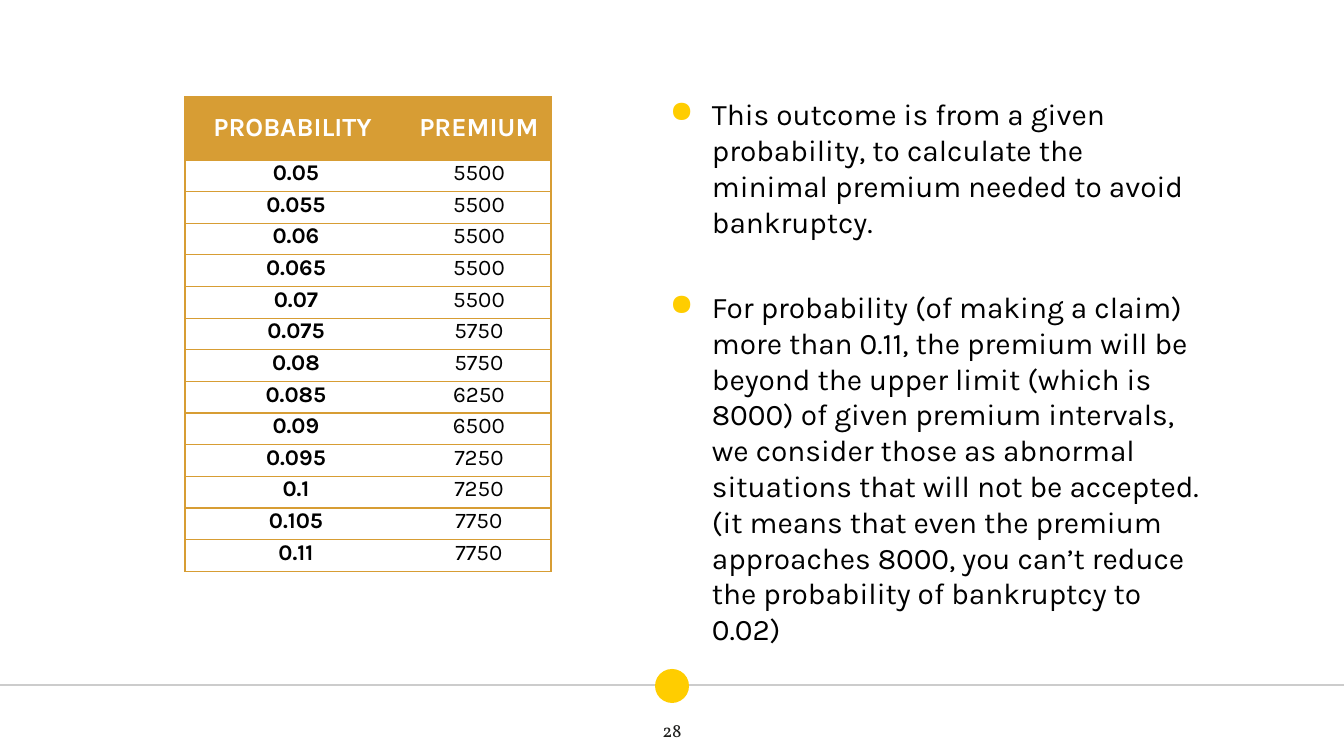
from dataclasses import dataclass

from lxml import etree
from pptx import Presentation
from pptx.dml.color import RGBColor
from pptx.enum.shapes import MSO_CONNECTOR, MSO_SHAPE
from pptx.enum.text import MSO_ANCHOR, PP_ALIGN
from pptx.oxml.ns import qn
from pptx.util import Emu, Pt

STRAIGHT = MSO_CONNECTOR.STRAIGHT
ELLIPSE = MSO_SHAPE.OVAL
CENTER = PP_ALIGN.CENTER
MIDDLE = MSO_ANCHOR.MIDDLE
TOP = MSO_ANCHOR.TOP

SLIDE_WIDTH, SLIDE_HEIGHT = 1344, 756
EMU_PER_PX = 914400 / 134.4
PLAIN_TABLE_STYLE = "{2D5ABB26-0587-4C30-8999-92F81FD0307C}"

HEADINGS = ("PROBABILITY ", "PREMIUM")
PREMIUMS = (
    ("0.05", 5500), ("0.055", 5500), ("0.06", 5500), ("0.065", 5500),
    ("0.07", 5500), ("0.075", 5750), ("0.08", 5750), ("0.085", 6250),
    ("0.09", 6500), ("0.095", 7250), ("0.1", 7250), ("0.105", 7750),
    ("0.11", 7750),
)
REMARKS = (
    "This outcome is from a given probability, to calculate the minimal "
    "premium needed to avoid bankruptcy.",
    "For probability (of making a claim) more than 0.11, the premium will be "
    "beyond the upper limit (which is 8000) of given premium intervals, we "
    "consider those as abnormal situations that will not be accepted. (it "
    "means that even the premium approaches 8000, you can’t reduce the "
    "probability of bankruptcy to 0.02)",
)


@dataclass(frozen=True)
class Theme:
    gold: str = "D79D34"
    yellow: str = "FFCD00"
    rule: str = "CCCCCC"
    ink: str = "000000"
    number_ink: str = "1D1D1B"
    white: str = "FFFFFF"
    body_font: str = "Karla"
    number_font: str = "Vollkorn"
    body_size: float = 16
    heading_size: float = 14
    cell_size: float = 12
    number_size: float = 10
    line_width: float = 0.75
    first_gap: float = 3.6
    remark_gap: float = 26.4


def px(length):
    return Emu(round(length * EMU_PER_PX))


def color(value):
    return RGBColor.from_string(value)


class SlideBuilder:
    def __init__(self, slide, theme):
        self.slide = slide
        self.theme = theme

    def style_runs(self, paragraph, size, ink, font_name, bold=False):
        for run in paragraph.runs:
            run.font.size = Pt(size)
            run.font.name = font_name
            run.font.bold = bold
            run.font.color.rgb = color(ink)

    def rule(self, x, y, width):
        connector = self.slide.shapes.add_connector(
            STRAIGHT, px(x), px(y), px(x + width), px(y))
        connector.line.color.rgb = color(self.theme.rule)
        connector.line.width = Pt(self.theme.line_width)
        etree.SubElement(connector._element.spPr, qn("a:effectLst"))

    def dot(self, x, y, diameter):
        shape = self.slide.shapes.add_shape(
            ELLIPSE, px(x), px(y), px(diameter), px(diameter))
        shape.shadow.inherit = False
        shape.fill.solid()
        shape.fill.fore_color.rgb = color(self.theme.yellow)
        shape.line.fill.background()

    def text_frame(self, x, y, width, height, anchor):
        shape = self.slide.shapes.add_textbox(px(x), px(y), px(width), px(height))
        frame = shape.text_frame
        frame.word_wrap = True
        frame.vertical_anchor = anchor
        frame.margin_left = frame.margin_right = px(13)
        frame.margin_top = frame.margin_bottom = px(13)
        return frame

    def page_number(self, x, y, width, height, text):
        frame = self.text_frame(x, y, width, height, MIDDLE)
        frame.text = text
        paragraph = frame.paragraphs[0]
        paragraph.alignment = CENTER
        self.style_runs(paragraph, self.theme.number_size,
                        self.theme.number_ink, self.theme.number_font)

    def bullets(self, x, y, width, height, texts):
        frame = self.text_frame(x, y, width, height, TOP)
        frame.text = "\n".join(texts)
        for index, paragraph in enumerate(frame.paragraphs):
            gap = self.theme.remark_gap if index else self.theme.first_gap
            paragraph.space_before = Pt(gap)
            self.style_runs(paragraph, self.theme.body_size,
                            self.theme.ink, self.theme.body_font)
            properties = paragraph._p.get_or_add_pPr()
            properties.set("marL", str(px(75)))
            properties.set("indent", str(px(-42)))
            bullet_color = etree.SubElement(properties, qn("a:buClr"))
            etree.SubElement(bullet_color, qn("a:srgbClr"), val=self.theme.yellow)
            etree.SubElement(properties, qn("a:buChar"), char="●")

    def border(self, cell, sides):
        properties = cell._tc.get_or_add_tcPr()
        for side in sides:
            line = etree.SubElement(properties, qn(f"a:ln{side}"),
                                    w=str(Pt(self.theme.line_width)))
            fill = etree.SubElement(line, qn("a:solidFill"))
            etree.SubElement(fill, qn("a:srgbClr"), val=self.theme.gold)

    def table_cell(self, cell, text, sides, heading, bold):
        theme = self.theme
        self.border(cell, sides)
        if heading:
            cell.fill.solid()
            cell.fill.fore_color.rgb = color(theme.gold)
        else:
            cell.fill.background()
        cell.margin_left = cell.margin_right = px(9)
        cell.margin_top = cell.margin_bottom = 0
        cell.text_frame.text = text
        paragraph = cell.text_frame.paragraphs[0]
        paragraph.alignment = CENTER
        if heading:
            paragraph.line_spacing = 1.5
        self.style_runs(paragraph,
                        theme.heading_size if heading else theme.cell_size,
                        theme.white if heading else theme.ink,
                        theme.body_font, bold)

    def table(self, x, y, widths, heading_height, body_height, headings, records):
        rows = [headings, *records]
        table = self.slide.shapes.add_table(
            len(rows), len(widths), px(x), px(y),
            px(sum(widths)), px(heading_height + body_height)).table
        table.horz_banding = False
        table._tbl.tblPr.find(qn("a:tableStyleId")).text = PLAIN_TABLE_STYLE
        for column, width in zip(table.columns, widths):
            column.width = px(width)
        for row_index, values in enumerate(rows):
            heading = row_index == 0
            table.rows[row_index].height = px(
                heading_height if heading else body_height / len(records))
            for column_index, value in enumerate(values):
                first = column_index == 0
                self.table_cell(table.cell(row_index, column_index), str(value),
                                "LTB" if first else "RTB", heading,
                                heading or first)


def main():
    presentation = Presentation()
    presentation.slide_width = px(SLIDE_WIDTH)
    presentation.slide_height = px(SLIDE_HEIGHT)
    slide = presentation.slides.add_slide(presentation.slide_layouts[6])
    builder = SlideBuilder(slide, Theme())
    builder.rule(0, 685, SLIDE_WIDTH)
    builder.dot(655, 669, 34)
    builder.page_number(632, 703, 80, 54, "28")
    builder.table(185, 97, (222, 144), 63, 412, HEADINGS, PREMIUMS)
    builder.bullets(624, 83, 590, 457, REMARKS)
    presentation.save("out.pptx")


if __name__ == "__main__":
    main()
